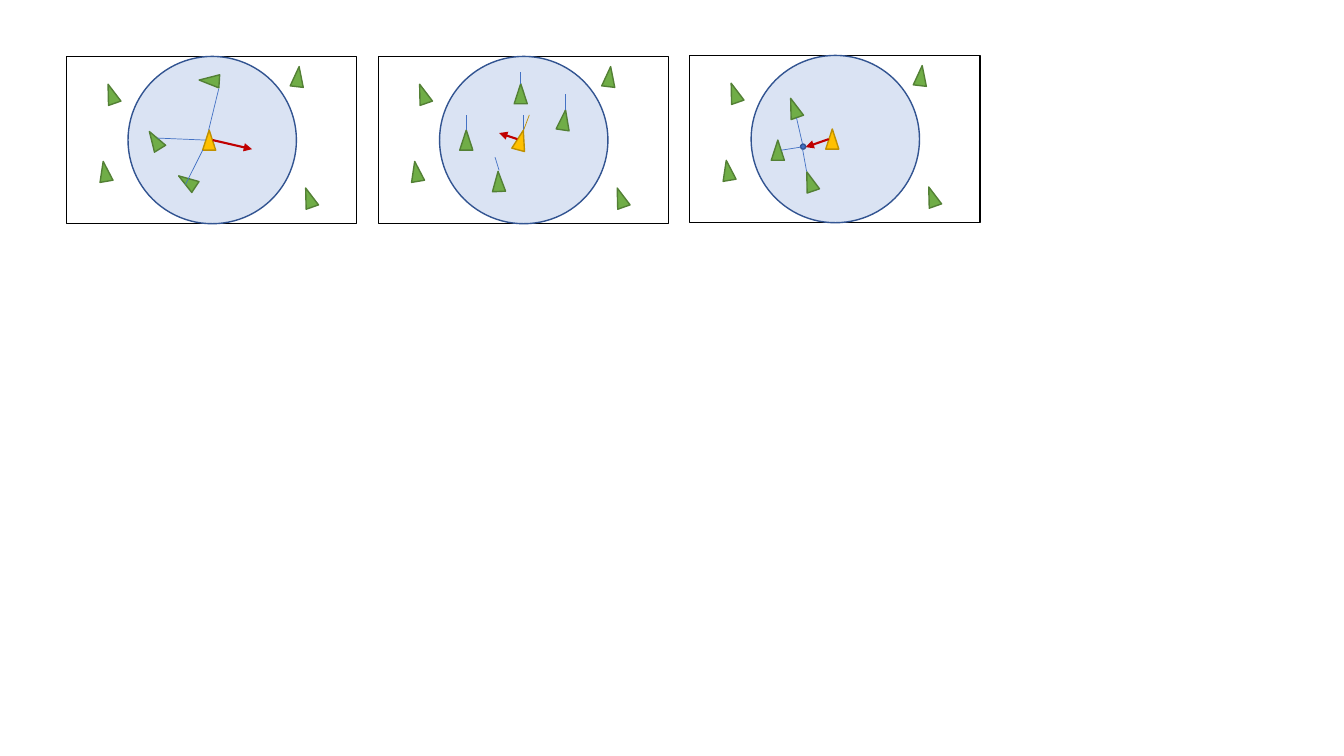
from dataclasses import dataclass
from typing import NamedTuple, Optional

import lxml.etree
import pptx
import pptx.dml.color
import pptx.enum.shapes
import pptx.oxml.ns
import pptx.util

SHAPE = pptx.enum.shapes.MSO_SHAPE


# Theme: colours and line widths
@dataclass(frozen=True)
class Theme:
    paper: str = "FFFFFF"
    frame: str = "000000"
    sight: str = "DAE3F3"
    sight_edge: str = "325491"
    link: str = "4472C4"
    boid: str = "70AD47"
    boid_edge: str = "538035"
    agent: str = "FFC000"
    agent_edge: str = "BF9000"
    steer: str = "C00000"
    hairline: float = 0.5
    frame_width: float = 0.75
    outline: float = 1
    arrow: float = 1.5


THEME = Theme()

# Grid: the slide is 1333 columns by 750 rows
COLUMNS, ROWS = 1333, 750
PANEL_LEFT, PANEL_PITCH = 66, 309
PANEL_WIDTH, PANEL_HEIGHT = 288, 166
SIGHT_LEFT, SIGHT_WIDTH = 61, 167
BOID_WIDTH, BOID_HEIGHT = 13, 20
CENTRE_SIZE = 5

presentation = pptx.Presentation()
presentation.slide_width = pptx.util.Inches(13.33)
presentation.slide_height = pptx.util.Inches(7.5)
slide = presentation.slides.add_slide(presentation.slide_layouts[6])


class Point(NamedTuple):
    column: float
    row: float


class Boid(NamedTuple):
    column: float
    row: float
    heading: float = 0


class Segment(NamedTuple):
    start: Point
    end: Point


@dataclass(frozen=True)
class Panel:
    top: float
    agent: Boid
    neighbours: list[Boid]
    links: list[Segment]
    steering: Segment
    agent_heading: Optional[Segment] = None
    flock_centre: Optional[Point] = None


def segment(x1: float, y1: float, x2: float, y2: float) -> Segment:
    return Segment(Point(x1, y1), Point(x2, y2))


# Boids out of sight, the same in each panel
DISTANT = [Boid(38, 27, 340.7), Boid(31.5, 104, 350.5),
           Boid(223, 10, 6.8), Boid(234, 130, 340.6)]

SEPARATION = Panel(
    top=56,
    agent=Boid(135, 73),
    neighbours=[Boid(81, 73, 328.2), Boid(135, 14, 273.6), Boid(113, 114, 303.6)],
    links=[segment(90, 81, 138, 83), segment(151, 32, 141, 73),
           segment(118, 127, 135, 93)],
    steering=segment(145, 83, 184, 92),
)
ALIGNMENT = Panel(
    top=56,
    agent=Boid(135, 73, 14.8),
    neighbours=[Boid(81, 73), Boid(135, 27), Boid(113, 114, 357.3),
                Boid(178, 53, 8.4)],
    links=[segment(186, 53, 186, 37), segment(141, 27, 141, 15),
           segment(88, 73, 88, 58), segment(120, 113, 116, 100),
           segment(144, 73, 144, 58)],
    steering=segment(138, 82, 120, 76),
    agent_heading=segment(150, 58, 144, 74),
)
COHESION = Panel(
    top=55,
    agent=Boid(135, 73),
    neighbours=[Boid(81, 84), Boid(113, 115, 341.1), Boid(97, 42, 340.7)],
    links=[segment(91, 94, 110, 91), segment(106, 62, 112, 88),
           segment(116, 115, 112, 93)],
    steering=segment(138, 83, 115, 91),
    flock_centre=Point(110, 88),
)


def across(columns: float) -> int:
    return round(presentation.slide_width * columns / COLUMNS)


def down(rows: float) -> int:
    return round(presentation.slide_height * rows / ROWS)


def colour(value: str) -> pptx.dml.color.RGBColor:
    return pptx.dml.color.RGBColor.from_string(value)


def draw_shape(kind: SHAPE, origin: Point, at: Point, width: float, height: float,
               fill: str, edge: str, weight: float = THEME.outline,
               rotation: float = 0) -> None:
    shape = slide.shapes.add_shape(
        kind, across(origin.column + at.column), down(origin.row + at.row),
        across(width), down(height))
    shape.rotation = rotation
    shape.shadow.inherit = False
    shape.fill.solid()
    shape.fill.fore_color.rgb = colour(fill)
    shape.line.color.rgb = colour(edge)
    shape.line.width = pptx.util.Pt(weight)


def draw_boid(origin: Point, boid: Boid, fill: str = THEME.boid,
              edge: str = THEME.boid_edge) -> None:
    draw_shape(SHAPE.ISOSCELES_TRIANGLE, origin, Point(boid.column, boid.row),
               BOID_WIDTH, BOID_HEIGHT, fill, edge, rotation=boid.heading)


def draw_line(origin: Point, line: Segment, stroke: str = THEME.link,
              weight: float = THEME.hairline, arrow: bool = False) -> None:
    connector = slide.shapes.add_connector(
        pptx.enum.shapes.MSO_CONNECTOR.STRAIGHT,
        across(origin.column + line.start.column), down(origin.row + line.start.row),
        across(origin.column + line.end.column), down(origin.row + line.end.row))
    connector.line.color.rgb = colour(stroke)
    connector.line.width = pptx.util.Pt(weight)
    if arrow:
        lxml.etree.SubElement(connector.line._get_or_add_ln(),
                              pptx.oxml.ns.qn("a:tailEnd"), type="triangle")
    lxml.etree.SubElement(connector._element.spPr, pptx.oxml.ns.qn("a:effectLst"))


def draw_panel(index: int, panel: Panel) -> None:
    origin = Point(PANEL_LEFT + index * PANEL_PITCH, panel.top)
    # Frame and field of sight
    draw_shape(SHAPE.RECTANGLE, origin, Point(0, 0), PANEL_WIDTH, PANEL_HEIGHT,
               THEME.paper, THEME.frame, THEME.frame_width)
    draw_shape(SHAPE.OVAL, origin, Point(SIGHT_LEFT, 0), SIGHT_WIDTH, PANEL_HEIGHT,
               THEME.sight, THEME.sight_edge)
    # Flock
    for boid in panel.neighbours + DISTANT:
        draw_boid(origin, boid)
    draw_boid(origin, panel.agent, THEME.agent, THEME.agent_edge)
    # Steering rule
    draw_line(origin, panel.steering, THEME.steer, THEME.arrow, arrow=True)
    if panel.flock_centre:
        draw_shape(SHAPE.OVAL, origin, panel.flock_centre, CENTRE_SIZE, CENTRE_SIZE,
                   THEME.link, THEME.sight_edge)
    for link in panel.links:
        draw_line(origin, link)
    if panel.agent_heading:
        draw_line(origin, panel.agent_heading, THEME.agent_edge)


def main() -> None:
    for index, panel in enumerate([SEPARATION, ALIGNMENT, COHESION]):
        draw_panel(index, panel)
    presentation.save("out.pptx")


if __name__ == "__main__":
    main()
